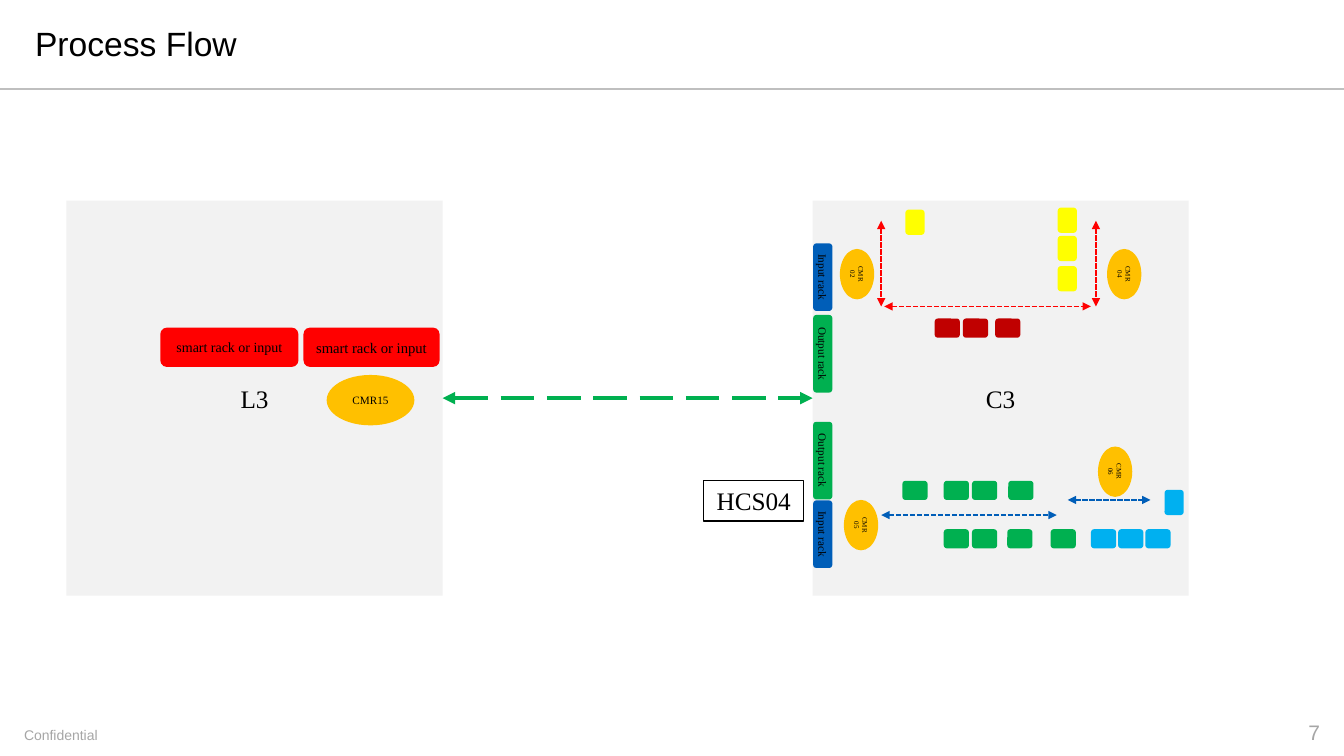
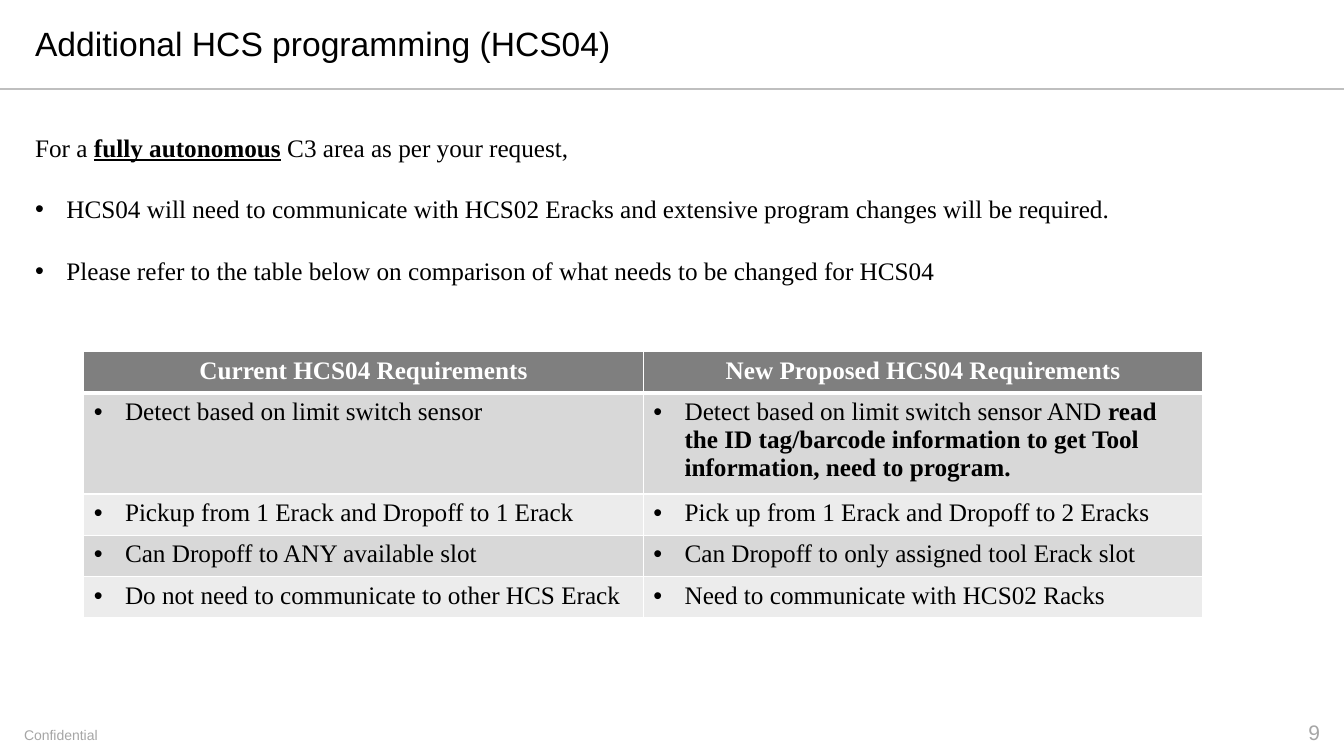
import pptx
import pptx.util
import pptx.dml.color
import pptx.enum.dml
import pptx.enum.shapes
import pptx.enum.text
import pptx.oxml.ns
from dataclasses import dataclass
from lxml import etree

Inches = pptx.util.Inches
Pt = pptx.util.Pt
RGB = pptx.dml.color.RGBColor.from_string
Kind = pptx.enum.shapes.MSO_SHAPE
Dash = pptx.enum.dml.MSO_LINE
Align = pptx.enum.text.PP_ALIGN
Anchor = pptx.enum.text.MSO_ANCHOR
Straight = pptx.enum.shapes.MSO_CONNECTOR.STRAIGHT
qn = pptx.oxml.ns.qn


@dataclass(frozen=True)
class Theme:
    heading_font: str = "Arial"
    body_font: str = "Times New Roman"
    black: str = "000000"
    white: str = "FFFFFF"
    rule: str = "BFBFBF"
    footer: str = "A6A6A6"
    area: str = "F2F2F2"
    red: str = "FF0000"
    dark_red: str = "C00000"
    yellow: str = "FFFF00"
    amber: str = "FFC000"
    green: str = "00B050"
    blue: str = "005EB8"
    sky: str = "00B0F0"
    header_row: str = "7F7F7F"
    odd_row: str = "D8D8D8"
    even_row: str = "ECECEC"
    title_size: float = 24
    body_size: float = 18
    number_size: float = 15
    footer_size: float = 10
    rack_size: float = 8
    robot_size: float = 5


theme = Theme()


def write(paragraph, runs, size=theme.body_size, font=theme.body_font,
          color=theme.black, align=Align.LEFT, bullet=False):
    """Fill a paragraph with (text, bold, underline) runs, or one plain string."""
    paragraph.alignment = align
    if bullet:
        properties = paragraph._p.get_or_add_pPr()
        properties.set("marL", str(Inches(0.31)))
        properties.set("indent", str(-Inches(0.31)))
        etree.SubElement(properties, qn("a:buFont"), typeface="Arial")
        etree.SubElement(properties, qn("a:buChar"), char="•")
    for text, bold, underline in [(runs, False, False)] if isinstance(runs, str) else runs:
        run = paragraph.add_run()
        run.text = text
        run.font.size = Pt(size)
        run.font.name = font
        run.font.bold = bold
        run.font.underline = underline
        run.font.color.rgb = RGB(color)


def block(slide, kind, box, fill, label="", size=theme.body_size, rotation=0):
    """Add a filled shape with a centred label."""
    shape = slide.shapes.add_shape(kind, *map(Inches, box))
    shape.shadow.inherit = False
    shape.fill.solid()
    shape.fill.fore_color.rgb = RGB(fill)
    shape.line.fill.background()
    shape.rotation = rotation
    if label:
        shape.text_frame.vertical_anchor = Anchor.MIDDLE
        write(shape.text_frame.paragraphs[0], label, size, align=Align.CENTER)
    return shape


deck = pptx.Presentation()
deck.slide_width, deck.slide_height = Inches(13.33), Inches(7.5)

# Shared frame: rule, title, page number, footer
slides = []
for title, number in [("Process Flow", "7"), ("Additional HCS programming (HCS04)", "9")]:
    slide = deck.slides.add_slide(deck.slide_layouts[6])
    slides.append(slide)
    rule = slide.shapes.add_connector(Straight, 0, Inches(0.88), deck.slide_width, Inches(0.88))
    rule.line.color.rgb = RGB(theme.rule)
    rule.line.width = Pt(1.25)
    etree.SubElement(rule._element.spPr, qn("a:effectLst"))
    for text, box, size, color, align, anchor in [
        (title, (0.25, 0.14, 11.03, 0.58), theme.title_size, theme.black, Align.LEFT, Anchor.MIDDLE),
        (number, (10.19, 7.09, 3, 0.4), theme.number_size, theme.footer, Align.RIGHT, Anchor.TOP),
        ("Confidential", (0.14, 7.09, 3, 0.4), theme.footer_size, theme.footer, Align.LEFT, Anchor.MIDDLE),
    ]:
        frame = slide.shapes.add_textbox(*map(Inches, box)).text_frame
        frame.word_wrap = True
        frame.vertical_anchor = anchor
        write(frame.paragraphs[0], text, size, theme.heading_font, color, align)
flow, requirements = slides

# Process flow: the two areas
l3_area = block(flow, Kind.RECTANGLE, (0.66, 1.99, 3.73, 3.92), theme.area, "L3")
c3_area = block(flow, Kind.RECTANGLE, (8.06, 1.99, 3.73, 3.92), theme.area, "C3")

# Racks and robot of L3
for left, width, size in [(1.59, 1.37, 10), (3.01, 1.35, 10.5)]:
    block(flow, Kind.ROUNDED_RECTANGLE, (left, 3.25, width, 0.39), theme.red,
          "smart rack or input", size)
block(flow, Kind.OVAL, (3.24, 3.72, 0.87, 0.5), theme.amber, "CMR15", theme.rack_size)

# Racks on the edge of C3, turned to read downwards
for label, length, middle, color in [
    ("Input rack", 0.67, 2.75, theme.blue),
    ("Output rack", 0.77, 3.51, theme.green),
    ("Output rack", 0.77, 4.57, theme.green),
    ("Input rack", 0.67, 5.3, theme.blue),
]:
    rack = block(flow, Kind.ROUNDED_RECTANGLE,
                 (8.16 - length / 2, middle - 0.19 / 2, length, 0.19),
                 color, label, theme.rack_size, 90)
    rack.text_frame.margin_left = rack.text_frame.margin_right = 0

# Robots of C3
for label, left, top in [("CMR02", 8.25, 2.55), ("CMR04", 10.9, 2.55),
                         ("CMR05", 8.29, 5.04), ("CMR06", 10.81, 4.51)]:
    block(flow, Kind.OVAL, (left, top, 0.5, 0.34), theme.amber, label, theme.robot_size, 90)

# Tools of C3: upright ones, then rows of flat ones
for left, top, color in [(8.98, 2.08, theme.yellow), (10.49, 2.06, theme.yellow),
                         (10.49, 2.34, theme.yellow), (10.49, 2.64, theme.yellow),
                         (11.55, 4.86, theme.sky)]:
    block(flow, Kind.ROUNDED_RECTANGLE, (left, top, 0.19, 0.25), color)
for top, color, lefts in [
    (3.16, theme.dark_red, (9.27, 9.55, 9.87)),
    (4.77, theme.green, (8.95, 9.36, 9.64, 10)),
    (5.25, theme.green, (9.36, 9.64, 9.99, 10.42)),
    (5.25, theme.sky, (10.82, 11.09, 11.36)),
]:
    for left in lefts:
        block(flow, Kind.ROUNDED_RECTANGLE, (left, top, 0.25, 0.19), color)

# Two-way routes; the first one joins the areas
for ends, color, width, dash, areas in [
    ((4.39, 3.95, 8.06, 3.95), theme.green, 3, Dash.LONG_DASH, (l3_area, c3_area)),
    ((10.87, 2.19, 10.87, 3.04), theme.red, 1.25, Dash.SQUARE_DOT, None),
    ((8.77, 3.04, 10.82, 3.04), theme.red, 1.25, Dash.SQUARE_DOT, None),
    ((8.74, 2.19, 8.74, 3.04), theme.red, 1.25, Dash.SQUARE_DOT, None),
    ((8.74, 5.11, 10.48, 5.11), theme.blue, 1.25, Dash.SQUARE_DOT, None),
    ((10.59, 4.96, 11.41, 4.96), theme.blue, 1.25, Dash.SQUARE_DOT, None),
]:
    route = flow.shapes.add_connector(Straight, *map(Inches, ends))
    if areas:
        route.begin_connect(areas[0], 3)
        route.end_connect(areas[1], 1)
    route.line.color.rgb = RGB(color)
    route.line.width = Pt(width)
    route.line.dash_style = dash
    for end in ("a:headEnd", "a:tailEnd"):
        etree.SubElement(route.line._get_or_add_ln(), qn(end), type="triangle")
    etree.SubElement(route._element.spPr, qn("a:effectLst"))

# Controller tag
controller = flow.shapes.add_textbox(*map(Inches, (6.98, 4.77, 0.99, 0.4)))
controller.line.color.rgb = RGB(theme.black)
controller.line.width = Pt(1)
controller.text_frame.word_wrap = True
write(controller.text_frame.paragraphs[0], "HCS04", align=Align.CENTER)

# Requirements: introduction
intro = requirements.shapes.add_textbox(*map(Inches, (0.25, 1.26, 12.38, 2.22))).text_frame
intro.word_wrap = True
write(intro.paragraphs[0], [("For a ", False, False), ("fully autonomous", True, True),
                            (" C3 area as per your request,", False, False)])
for point in [
    "HCS04 will need to communicate with HCS02 Eracks and extensive program changes will be required.",
    "Please refer to the table below on comparison of what needs to be changed for HCS04",
]:
    paragraph = intro.add_paragraph()
    paragraph.space_before = Pt(22.5)
    write(paragraph, point, bullet=True)

# Requirements: comparison table
rows = [
    ("Current HCS04 Requirements", "New Proposed HCS04 Requirements"),
    ("Detect based on limit switch sensor",
     [("Detect based on limit switch sensor AND ", False, False),
      ("read the ID tag/barcode information to get Tool information, need to program.", True, False)]),
    ("Pickup from 1 Erack and Dropoff to 1 Erack", "Pick up from 1 Erack and Dropoff to 2 Eracks"),
    ("Can Dropoff to ANY available slot", "Can Dropoff to only assigned tool Erack slot"),
    ("Do not need to communicate to other HCS Erack", "Need to communicate with HCS02 Racks"),
]
comparison = requirements.shapes.add_table(
    len(rows), 2, *map(Inches, (0.83, 3.49, 11.1, 2.62))).table
for row_index, row in enumerate(rows):
    header = row_index == 0
    comparison.rows[row_index].height = Inches(0.98 if row_index == 1 else 0.41)
    row_fill = theme.header_row if header else theme.odd_row if row_index % 2 else theme.even_row
    for column_index, content in enumerate(row):
        cell = comparison.cell(row_index, column_index)
        cell.fill.solid()
        cell.fill.fore_color.rgb = RGB(row_fill)
        if header:
            write(cell.text_frame.paragraphs[0], [(content, True, False)],
                  color=theme.white, align=Align.CENTER)
        else:
            write(cell.text_frame.paragraphs[0], content, bullet=True)
        # White cell borders, thicker between the header and the body
        for position, side in enumerate(("a:lnL", "a:lnR", "a:lnT", "a:lnB")):
            thick = (header and side == "a:lnB") or (row_index == 1 and side == "a:lnT")
            border = etree.Element(qn(side), w=str(Pt(3 if thick else 1)))
            paint = etree.SubElement(border, qn("a:solidFill"))
            etree.SubElement(paint, qn("a:srgbClr"), val=theme.white)
            cell._tc.get_or_add_tcPr().insert(position, border)

deck.save("out.pptx")
